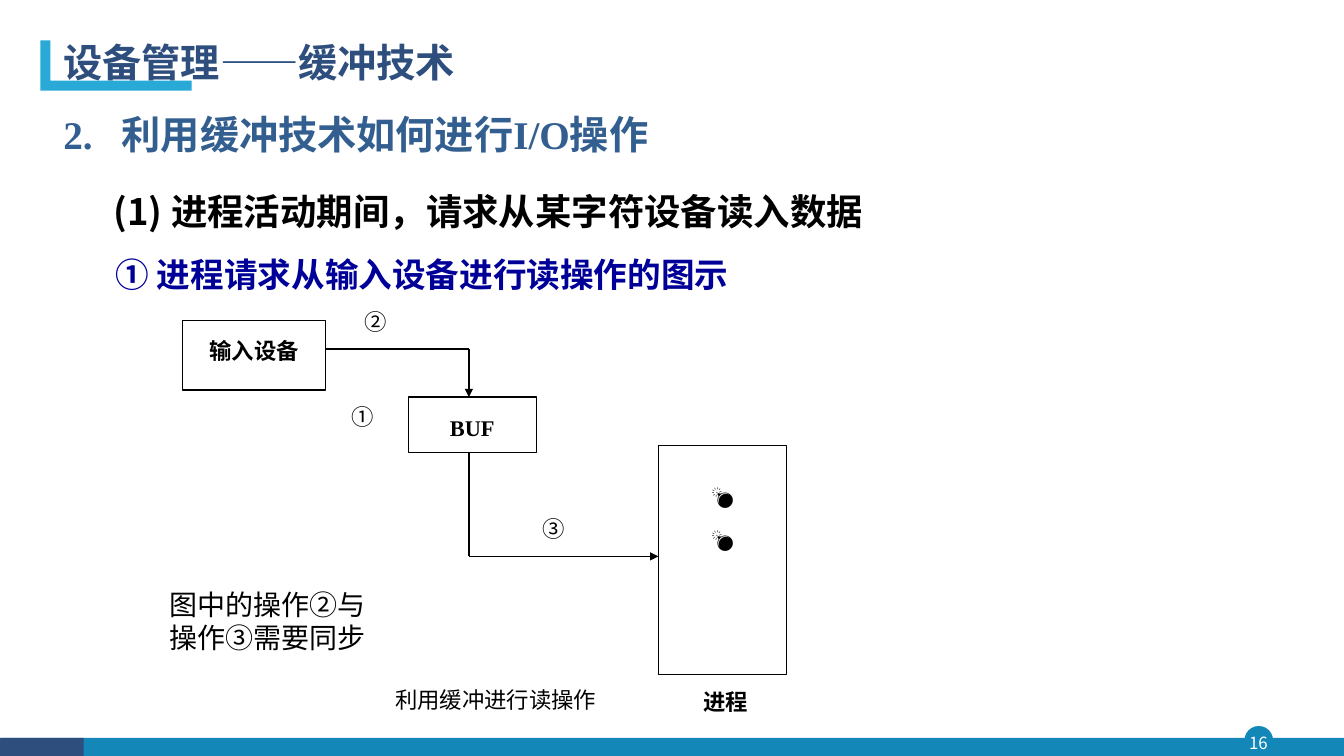
from dataclasses import dataclass

from lxml import etree
from pptx import Presentation, util as u
from pptx.dml import color
from pptx.enum import shapes, text
from pptx.oxml import ns

CELL = 0.1


@dataclass(frozen=True)
class Theme:
    navy: str = "2E4E7E"
    teal: str = "1387B7"
    sky: str = "28A9D6"
    heading: str = "335F90"
    step: str = "000099"
    ink: str = "000000"
    paper: str = "FFFFFF"
    sans: str = "Noto Sans CJK SC"
    serif: str = "Times New Roman"
    title_size: int = 28
    item_size: int = 26
    step_size: int = 24
    note_size: int = 20
    label_size: int = 16
    number_size: int = 12


THEME = Theme()


def grid(cells):
    return u.Inches(cells * CELL)


def rgb(value):
    return color.RGBColor.from_string(value)


def add_run(paragraph, words, size, ink=THEME.ink, font=THEME.serif, bold=False):
    run = paragraph.add_run()
    run.text = words
    run.font.size = u.Pt(size)
    run.font.name = font
    run.font.bold = bold
    run.font.color.rgb = rgb(ink)
    east_asian = etree.SubElement(run._r.get_or_add_rPr(), ns.qn("a:ea"))
    east_asian.set("typeface", THEME.sans)


def format_paragraph(paragraph, line, align=text.PP_ALIGN.LEFT, margin=0, indent=0):
    paragraph.alignment = align
    paragraph.line_spacing = u.Pt(line)
    paragraph.space_before = paragraph.space_after = u.Pt(0)
    properties = paragraph._p.get_or_add_pPr()
    properties.set("marL", str(grid(margin)))
    properties.set("indent", str(grid(indent)))


def prepare_frame(shape):
    frame = shape.text_frame
    frame.word_wrap = True
    frame.auto_size = text.MSO_AUTO_SIZE.NONE
    frame.vertical_anchor = text.MSO_ANCHOR.TOP
    return frame


def add_box(slide, place):
    return slide.shapes.add_textbox(*map(grid, place))


def add_label(shape, words, line=27.5, align=text.PP_ALIGN.CENTER, **style):
    paragraph = prepare_frame(shape).paragraphs[0]
    format_paragraph(paragraph, line, align)
    add_run(paragraph, words, THEME.label_size, **style)


def style_shape(shape, fill=None, line=None):
    shape.shadow.inherit = False
    if fill:
        shape.fill.solid()
        shape.fill.fore_color.rgb = rgb(fill)
    else:
        shape.fill.background()
    if line:
        shape.line.color.rgb = rgb(line)
        shape.line.width = u.Pt(1)
    else:
        shape.line.fill.background()
    return shape


def add_block(slide, place, fill=None, line=None, kind=shapes.MSO_SHAPE.RECTANGLE):
    return style_shape(slide.shapes.add_shape(kind, *map(grid, place)), fill, line)


def add_flow(slide, start, end, width=1.5, arrow=False):
    flow = slide.shapes.add_connector(
        shapes.MSO_CONNECTOR.STRAIGHT, *map(grid, start + end))
    flow.line.color.rgb = rgb(THEME.ink)
    flow.line.width = u.Pt(width)
    if arrow:
        tail = etree.SubElement(flow.line._get_or_add_ln(), ns.qn("a:tailEnd"))
        tail.set("type", "triangle")
    etree.SubElement(flow._element.spPr, ns.qn("a:effectLst"))


def add_footer(slide):
    add_block(slide, (123.5, 72.1, 2.7, 2.7), THEME.teal, THEME.teal,
              shapes.MSO_SHAPE.OVAL)
    add_block(slide, (0.1, 73.2, 133.2, 1.9), THEME.teal)
    add_block(slide, (0, 73.2, 8.3, 1.9), THEME.navy)
    frame = prepare_frame(add_box(slide, (123.2, 72.1, 3.2, 3.1)))
    frame.margin_left = frame.margin_right = 0
    frame.margin_top = frame.margin_bottom = 0
    frame.vertical_anchor = text.MSO_ANCHOR.MIDDLE
    paragraph = frame.paragraphs[0]
    paragraph.alignment = text.PP_ALIGN.CENTER
    add_run(paragraph, "16", THEME.number_size, THEME.paper, THEME.sans)


def add_title_mark(slide):
    corners = [(5.4, 8.5), (18.7, 8.5), (18.7, 8.7), (5.2, 8.7), (5.2, 4.1),
               (4.7, 4.1), (4.7, 8.7), (3.6, 8.7), (3.6, 3.9), (3.9, 3.9),
               (3.9, 8.4), (4.4, 8.4), (4.4, 3.9)]
    builder = slide.shapes.build_freeform(5.4, 3.9, scale=grid(1))
    builder.add_line_segments(corners, close=True)
    style_shape(builder.convert_to_shape(), THEME.sky)


def fill_title(slide):
    title = slide.shapes.title
    title.left, title.top, title.width, title.height = map(
        grid, (5.3, 3.4, 104.9, 5.6))
    paragraph = prepare_frame(title).paragraphs[0]
    format_paragraph(paragraph, 33)
    add_run(paragraph, "设备管理——缓冲技术", THEME.title_size, THEME.navy,
            THEME.sans, True)


def add_outline(slide):
    frame = prepare_frame(add_box(slide, (5.3, 9.1, 91, 21.2)))
    heading, item, step = (
        frame.paragraphs[0], frame.add_paragraph(), frame.add_paragraph())
    format_paragraph(heading, 43, margin=5.8, indent=-5.8)
    add_run(heading, "2.\t利用缓冲技术如何进行I/O操作", THEME.title_size,
            THEME.heading, bold=True)
    format_paragraph(item, 54.5, margin=5)
    add_run(item, "(1) 进程活动期间，请求从某字符设备读入数据",
            THEME.item_size, font=THEME.sans, bold=True)
    format_paragraph(step, 43.5, margin=5.2)
    add_run(step, "① 进程请求从输入设备进行读操作的图示",
            THEME.step_size, THEME.step, bold=True)


def add_note(slide):
    frame = prepare_frame(add_box(slide, (15.4, 57.9, 22.4, 8.1)))
    for index, words in enumerate(("图中的操作②与", "操作③需要同步")):
        paragraph = frame.add_paragraph() if index else frame.paragraphs[0]
        format_paragraph(paragraph, 23.5, margin=0.4)
        add_run(paragraph, words, THEME.note_size)


def add_diagram(slide):
    for place, words in (((18.1, 31.8, 14.2, 6.9), "输入设备"),
                         ((40.5, 39.4, 12.7, 5.5), "BUF")):
        add_label(add_block(slide, place, line=THEME.ink), words, bold=True)
    add_block(slide, (65.3, 44.2, 12.7, 22.7), line=THEME.ink)
    add_label(add_box(slide, (65.6, 66.6, 12.7, 5.5)), "进程", bold=True)
    for top in (46.2, 50.4):
        add_label(add_box(slide, (68.3, top, 6.7, 5.5)), "💣",
                  font=THEME.sans, bold=True)

    add_flow(slide, (32.3, 34.6), (46.5, 34.6))
    add_flow(slide, (46.5, 34.6), (46.5, 39.4), arrow=True)
    add_flow(slide, (46.5, 44.9), (46.5, 55.2))
    add_flow(slide, (46.5, 55.2), (65.3, 55.2), 0.75, arrow=True)

    for left, top, words in ((33.9, 39.4, "①"), (35.2, 30, "②"), (52.8, 50.5, "③")):
        add_label(add_box(slide, (left, top, 6, 3.7)), words, 20,
                  text.PP_ALIGN.LEFT, font=THEME.sans)
    add_label(add_box(slide, (38.2, 67.5, 23.1, 3.7)), "利用缓冲进行读操作", 20,
              text.PP_ALIGN.LEFT)


def main():
    presentation = Presentation()
    presentation.slide_width = u.Inches(13.33)
    presentation.slide_height = u.Inches(7.5)
    slide = presentation.slides.add_slide(presentation.slide_layouts[5])
    add_footer(slide)
    add_title_mark(slide)
    fill_title(slide)
    add_outline(slide)
    add_diagram(slide)
    add_note(slide)
    presentation.save("out.pptx")


if __name__ == "__main__":
    main()
